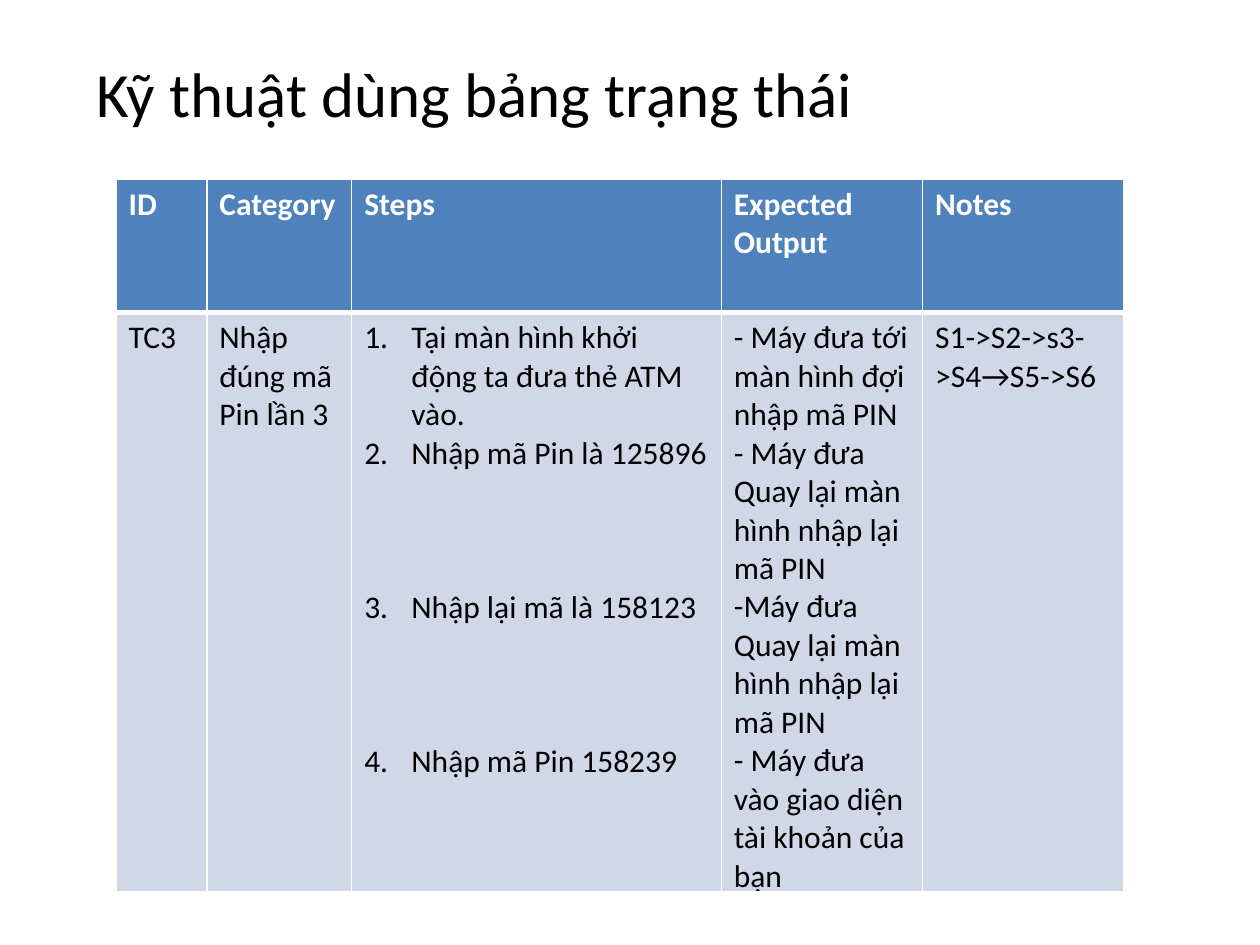
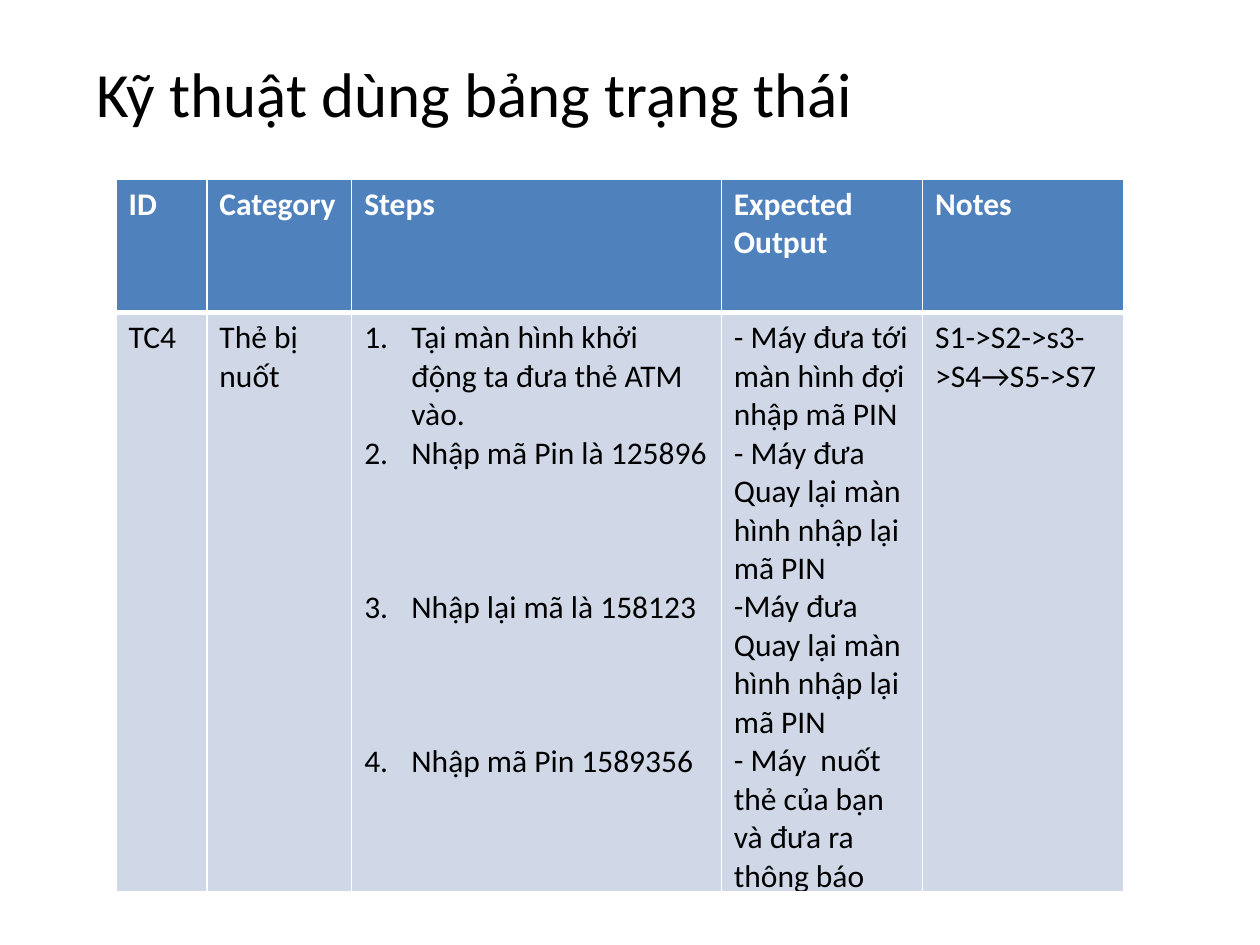
from dataclasses import dataclass

from lxml.etree import SubElement
from pptx import Presentation
from pptx.dml.color import RGBColor as Rgb
from pptx.enum.text import MSO_ANCHOR as Anchor
from pptx.oxml.ns import qn
from pptx.util import Cm, Pt


@dataclass(frozen=True)
class Theme:
    font: str = "Calibri"
    ink: str = "000000"
    paper: str = "FFFFFF"
    header: str = "4F81BD"
    body: str = "D0D8E8"
    title_size: int = 36
    cell_size: int = 18
    thin: int = 1
    thick: int = 3
    step_gap: int = 66  # three text lines


# Content shared by the test cases
TITLE = "Kỹ thuật dùng bảng trạng thái"
HEADINGS = ["ID", "Category", "Steps", "Expected Output", "Notes"]
STEPS = [
    "Tại màn hình khởi động ta đưa thẻ ATM vào.",
    "Nhập mã Pin là 125896",
    "Nhập lại mã là 158123",
]
OUTPUTS = [
    "- Máy đưa tới màn hình đợi nhập mã PIN",
    "- Máy đưa Quay lại màn hình nhập lại mã PIN",
    "-Máy đưa Quay lại màn hình nhập lại mã PIN",
]
STATES = "S1->S2->s3->S4→S5->"

# What differs: ID, category, last step, last output, final state
TEST_CASES = [
    ("TC3", "Nhập đúng mã Pin lần 3", "Nhập mã Pin 158239",
     "- Máy đưa vào giao diện tài khoản của bạn", "S6"),
    ("TC4", "Thẻ bị nuốt", "Nhập mã Pin 1589356",
     "- Máy  nuốt thẻ của bạn và đưa ra thông báo", "S7"),
]

# Table measures in centimetres
COLUMN_WIDTHS = [1.83, 2.92, 7.45, 4.06, 4.06]
ROW_HEIGHTS = [2.69, 11.68]
STEPS_COLUMN = HEADINGS.index("Steps")


class Deck:
    def __init__(self, theme):
        self.theme = theme
        self.show = Presentation()
        self.show.slide_width, self.show.slide_height = Cm(25.4), Cm(19.05)
        self.slide = None

    def new_slide(self):
        self.slide = self.show.slides.add_slide(self.show.slide_layouts[6])

    def style(self, frame, size, color, bold=False):
        for paragraph in frame.paragraphs:
            for run in paragraph.runs:
                run.font.name = self.theme.font
                run.font.size = Pt(size)
                run.font.bold = bold
                run.font.color.rgb = Rgb.from_string(color)

    def title(self, text):
        frame = self.slide.shapes.add_textbox(
            Cm(1.7), Cm(0.76), Cm(22.43), Cm(2.21)).text_frame
        frame.word_wrap = True
        frame.vertical_anchor = Anchor.MIDDLE
        frame.text = text
        self.style(frame, self.theme.title_size, self.theme.ink)

    def borders(self, cell, top, bottom):
        thin = self.theme.thin
        properties = cell._tc.get_or_add_tcPr()
        for side, width in zip("LRTB", (thin, thin, top, bottom)):
            line = SubElement(properties, qn(f"a:ln{side}"), w=str(Pt(width)))
            fill = SubElement(line, qn("a:solidFill"))
            SubElement(fill, qn("a:srgbClr"), val=self.theme.paper)

    def number(self, frame):
        for index, paragraph in enumerate(frame.paragraphs):
            # Later steps line up with their expected outputs
            if index > 1:
                paragraph.space_before = Pt(self.theme.step_gap)
            properties = paragraph._p.get_or_add_pPr()
            properties.set("marL", str(Cm(0.95)))
            properties.set("indent", str(-Cm(0.95)))
            SubElement(properties, qn("a:buFont"), typeface="+mj-lt")
            SubElement(properties, qn("a:buAutoNum"), type="arabicPeriod")

    def table(self, rows):
        theme = self.theme
        grid = self.slide.shapes.add_table(
            len(rows), len(COLUMN_WIDTHS), Cm(2.34), Cm(3.61),
            Cm(sum(COLUMN_WIDTHS)), Cm(sum(ROW_HEIGHTS))).table
        grid.horz_banding = False
        for column, width in zip(grid.columns, COLUMN_WIDTHS):
            column.width = Cm(width)
        for r, (row, height) in enumerate(zip(grid.rows, ROW_HEIGHTS)):
            row.height = Cm(height)
            heading = r == 0
            for c, cell in enumerate(row.cells):
                self.borders(cell,
                             theme.thin if heading else theme.thick,
                             theme.thick if heading else theme.thin)
                cell.fill.solid()
                cell.fill.fore_color.rgb = Rgb.from_string(
                    theme.header if heading else theme.body)
                cell.text_frame.text = rows[r][c]
                self.style(cell.text_frame, theme.cell_size,
                           theme.paper if heading else theme.ink, heading)
                if c == STEPS_COLUMN and not heading:
                    self.number(cell.text_frame)


def main():
    deck = Deck(Theme())
    # One slide for each test case
    for case_id, category, last_step, last_output, final_state in TEST_CASES:
        deck.new_slide()
        deck.title(TITLE)
        deck.table([HEADINGS, [
            case_id,
            category,
            "\n".join(STEPS + [last_step]),
            "\n".join(OUTPUTS + [last_output]),
            STATES + final_state,
        ]])
    deck.show.save("out.pptx")


if __name__ == "__main__":
    main()
